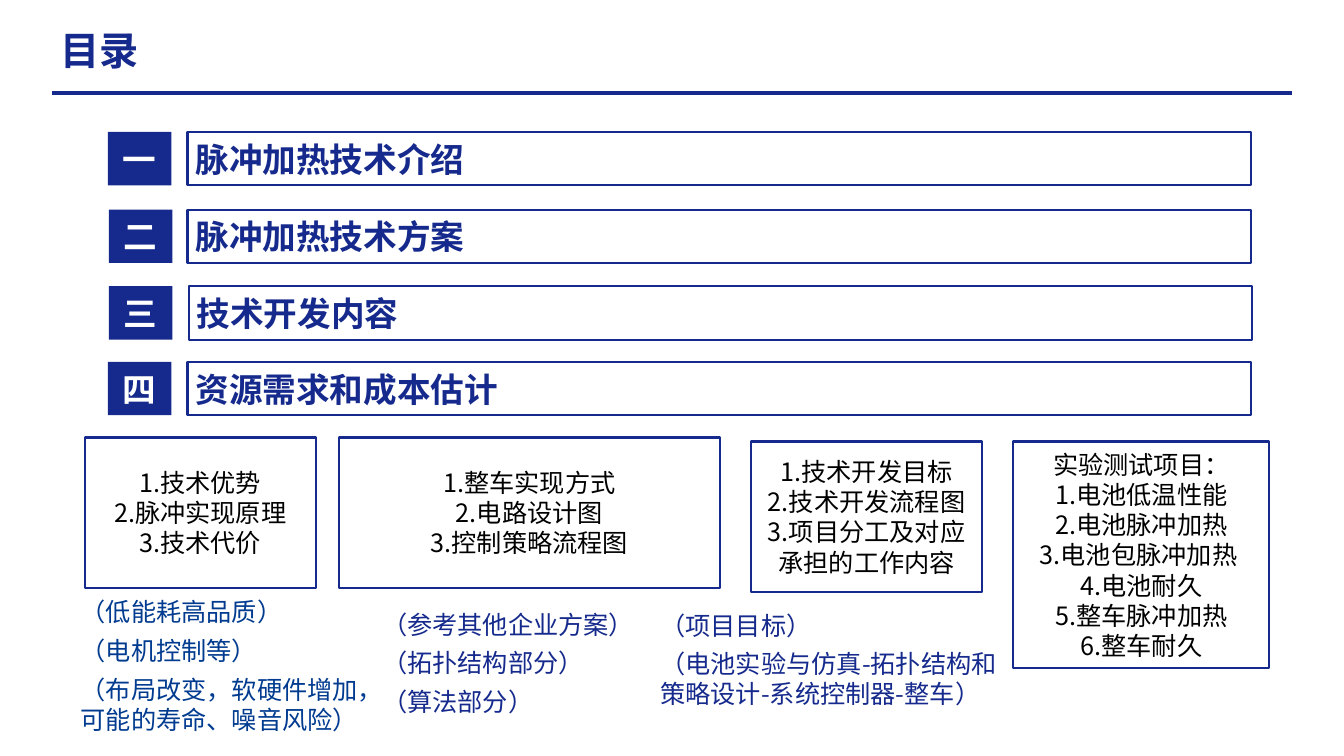
from lxml.etree import SubElement
from pptx import Presentation
from pptx.dml.color import RGBColor
from pptx.enum.shapes import MSO_CONNECTOR as Link, MSO_SHAPE as Shape
from pptx.enum.text import MSO_ANCHOR as Anchor, PP_ALIGN as Align
from pptx.oxml.ns import qn
from pptx.util import Inches, Pt

FACE = "Noto Sans CJK SC"
NAVY = RGBColor(0x15, 0x2A, 0x8C)
BLUE = RGBColor(0x00, 0x3B, 0x90)
BLACK = RGBColor(0, 0, 0)
WHITE = RGBColor(255, 255, 255)

# number, title, top, left of the number, left of the title
TOPICS = [
    ("一", "脉冲加热技术介绍", 1.31, 1.07, 1.86),
    ("二", "脉冲加热技术方案", 2.08, 1.08, 1.86),
    ("三", "技术开发内容", 2.84, 1.08, 1.87),
    ("四", "资源需求和成本估计", 3.59, 1.07, 1.86),
]
DETAILS = [
    ((0.84, 4.34, 2.29, 1.49), ["1.技术优势", "2.脉冲实现原理", "3.技术代价"]),
    ((3.36, 4.34, 3.78, 1.49), ["1.整车实现方式", "2.电路设计图", "3.控制策略流程图"]),
    ((7.45, 4.38, 2.29, 1.49),
     ["1.技术开发目标", "2.技术开发流程图", "3.项目分工及对应 承担的工作内容"]),
    ((10.05, 4.38, 2.54, 2.25),
     ["实验测试项目：", "1.电池低温性能", "2.电池脉冲加热", "3.电池包脉冲加热 ",
      "4.电池耐久", "5.整车脉冲加热", "6.整车耐久"]),
]
NOTES = [
    ((0.76, 5.88, 3.04, 1), BLUE,
     ["（低能耗高品质）", "（电机控制等）", "（布局改变，软硬件增加，可能的寿命、噪音风险）"]),
    ((3.75, 6, 3, 1.15), NAVY,
     ["（参考其他企业方案）", "（拓扑结构部分）", "（算法部分）"]),
    ((6.51, 6.01, 3.47, 1.37), NAVY,
     ["（项目目标）", "（电池实验与仿真-拓扑结构和策略设计-系统控制器-整车）"]),
]


def write(shape, lines, size, color, bold=False, align=Align.LEFT,
          anchor=Anchor.MIDDLE, side=0.08, gap=0):
    """Fill a shape with one paragraph per line, gap points apart."""
    frame = shape.text_frame
    frame.word_wrap = True
    frame.vertical_anchor = anchor
    frame.margin_left = frame.margin_right = Inches(side)
    frame.margin_top = frame.margin_bottom = Inches(0.04)
    frame.text = "\n".join(lines)
    for i, para in enumerate(frame.paragraphs):
        para.alignment = align
        para.space_before = Pt(gap if i else 0)
        font = para.font
        font.size, font.bold = Pt(size), bold
        font.color.rgb = color
        font.name = FACE
        SubElement(font._element, qn("a:ea"), typeface=FACE)


def add_box(slide, place, fill=None):
    """Add a solid box, or a navy outline when there is no fill."""
    box = slide.shapes.add_shape(Shape.RECTANGLE, *map(Inches, place))
    box.shadow.inherit = False
    if fill is None:
        box.fill.background()
        box.line.color.rgb = NAVY
        box.line.width = Pt(1.5)
    else:
        box.fill.solid()
        box.fill.fore_color.rgb = fill
        box.line.fill.background()
    return box


def add_text(slide, place, lines, size, color, **style):
    box = slide.shapes.add_textbox(*map(Inches, place))
    write(box, lines, size, color, **style)


def add_rule(slide, left, right, top):
    rule = slide.shapes.add_connector(
        Link.STRAIGHT, Inches(left), Inches(top), Inches(right), Inches(top))
    rule.line.color.rgb = NAVY
    rule.line.width = Pt(3)
    SubElement(rule._element.spPr, qn("a:effectLst"))


def add_topic(slide, number, title, top, left, start):
    bar = add_box(slide, (start, top, 10.55, 0.53))
    write(bar, [title], 24, NAVY, bold=True)
    badge = add_box(slide, (left, top, 0.63, 0.53), NAVY)
    write(badge, [number], 24, WHITE, bold=True, align=Align.CENTER)


def main():
    deck = Presentation()
    deck.slide_width, deck.slide_height = Inches(13.33), Inches(7.5)
    slide = deck.slides.add_slide(deck.slide_layouts[6])
    add_rule(slide, 0.52, 12.81, 0.92)
    add_text(slide, (0.52, 0.19, 10.08, 0.61), ["目录"], 28, NAVY, bold=True)
    for topic in TOPICS:
        add_topic(slide, *topic)
    for place, lines in DETAILS:
        write(add_box(slide, place), lines, 18, BLACK, align=Align.CENTER, side=0.1)
    for place, color, lines in NOTES:
        add_text(slide, place, lines, 18, color, anchor=Anchor.TOP, side=0.04, gap=6)
    deck.save("out.pptx")


if __name__ == "__main__":
    main()
